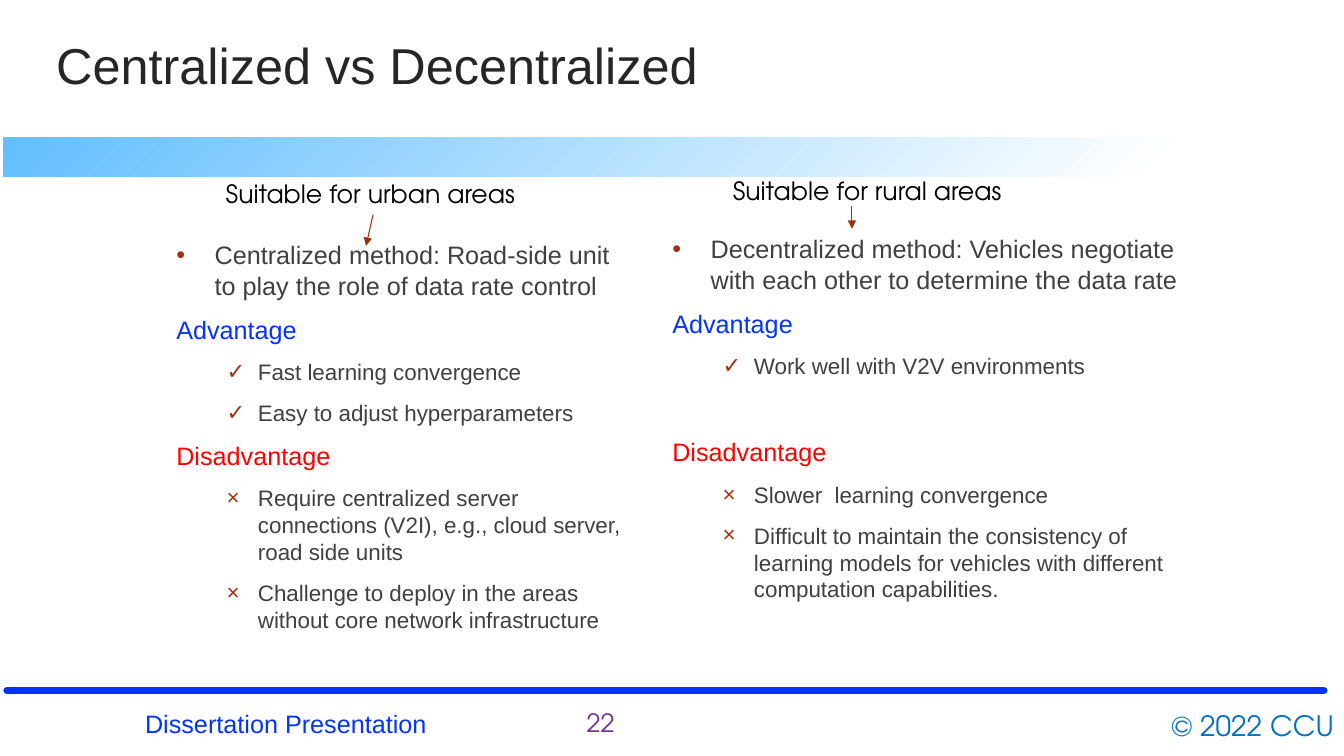
from dataclasses import dataclass
from typing import Optional

from lxml.etree import SubElement
from pptx import Presentation
from pptx.dml.color import RGBColor
from pptx.enum.shapes import MSO_CONNECTOR as Connector, MSO_SHAPE as Preset
from pptx.enum.text import MSO_ANCHOR as Anchor, MSO_AUTO_SIZE as AutoSize, PP_ALIGN as Align
from pptx.oxml.ns import qn
from pptx.util import Inches, Pt

COLORS = {
    "title": "262626", "body": "404040", "bullet": "A53010", "arrow": "9E2E0F",
    "blue": "0432FF", "red": "FF0000", "black": "000000",
    "copyright": "0070C0", "page": "7030A0", "band": "63BFFF", "white": "FFFFFF",
}
SANS = "Arial"
ROUND = "TeX Gyre Adventor"


@dataclass(frozen=True)
class Label:
    text: str
    box: tuple[float, float, float, float]
    color: str
    size: int = 18
    font: str = ROUND
    align: Align = Align.LEFT
    anchor: Anchor = Anchor.TOP
    wrap: bool = True


@dataclass(frozen=True)
class Line:
    start: tuple[float, float]
    end: tuple[float, float]
    color: str = "arrow"
    width: float = 0.75
    arrow: bool = True


@dataclass(frozen=True)
class ItemStyle:
    color: str = "body"
    size: int = 18
    bullet: Optional[str] = None
    margin: float = 0
    hanging: float = 0
    level: int = 0


METHOD = ItemStyle(bullet="•", margin=0.38, hanging=0.38)
ADVANTAGE = ItemStyle("blue")
DISADVANTAGE = ItemStyle("red")
PRO = ItemStyle(size=16, bullet="✓", margin=0.81, hanging=0.31, level=1)
CON = ItemStyle(size=16, bullet="×", margin=0.81, hanging=0.31, level=1)


@dataclass(frozen=True)
class Item:
    text: str
    style: ItemStyle
    space_before: int = 10


@dataclass(frozen=True)
class Column:
    box: tuple[float, float, float, float]
    items: list[Item]


LABELS = [
    Label("© 2022 CCU", (7.58, 6.97, 5.75, 0.45), "copyright", 20,
          align=Align.RIGHT, anchor=Anchor.MIDDLE),
    Label("Dissertation Presentation", (0.03, 7, 4.3, 0.35), "blue", font=SANS,
          align=Align.RIGHT, anchor=Anchor.MIDDLE),
    Label("Centralized vs Decentralized", (0.46, 0.29, 12.43, 1.4), "title", 36, SANS),
    Label("22", (5.72, 6.97, 0.85, 0.4), "page"),
    Label("Suitable for rural areas", (7.17, 1.69, 2.97, 0.4), "black", wrap=False),
    Label("Suitable for urban areas", (2.14, 1.72, 3.12, 0.4), "black", wrap=False),
]

LINES = [
    Line((0.07, 6.85), (13.13, 6.85), "blue", 5.25, arrow=False),
    Line((8.45, 2.04), (8.45, 2.27)),
    Line((3.7, 2.13), (3.63, 2.44)),
]

COLUMNS = [
    Column((1.65, 2.33, 4.72, 4.13), [
        Item("Centralized method: Road-side unit to play the role of data rate control", METHOD),
        Item("Advantage", ADVANTAGE),
        Item("Fast learning convergence", PRO),
        Item("Easy to adjust hyperparameters", PRO),
        Item("Disadvantage", DISADVANTAGE),
        Item("Require centralized server connections (V2I), e.g., cloud server, "
             "road side units", CON),
        Item("Challenge to deploy in the areas without core network infrastructure", CON),
    ]),
    Column((6.57, 2.27, 5.27, 4.13), [
        Item("Decentralized method: Vehicles negotiate with each other to determine "
             "the data rate", METHOD),
        Item("Advantage", ADVANTAGE),
        Item("Work well with V2V environments", PRO),
        Item("Disadvantage", DISADVANTAGE, space_before=41),
        Item("Slower  learning convergence", CON),
        Item("Difficult to maintain the consistency of learning models for vehicles "
             "with different computation capabilities.", CON),
    ]),
]


def rgb(name: str) -> RGBColor:
    return RGBColor.from_string(COLORS[name])


def format_runs(paragraph, font: str, size: int, color: str) -> None:
    for run in paragraph.runs:
        run.font.name = font
        run.font.size = Pt(size)
        run.font.color.rgb = rgb(color)


def add_label(slide, label: Label) -> None:
    text_frame = slide.shapes.add_textbox(*map(Inches, label.box)).text_frame
    text_frame.text = label.text
    text_frame.word_wrap = label.wrap
    text_frame.vertical_anchor = label.anchor
    if not label.wrap:
        text_frame.auto_size = AutoSize.SHAPE_TO_FIT_TEXT
    paragraph = text_frame.paragraphs[0]
    paragraph.alignment = label.align
    format_runs(paragraph, label.font, label.size, label.color)


def add_bullet(paragraph, style: ItemStyle) -> None:
    properties = paragraph._p.get_or_add_pPr()
    properties.set("marL", str(Inches(style.margin)))
    properties.set("indent", str(-Inches(style.hanging)))
    color = SubElement(properties, qn("a:buClr"))
    SubElement(color, qn("a:srgbClr"), val=COLORS["bullet"])
    SubElement(properties, qn("a:buFont"), typeface=SANS)
    SubElement(properties, qn("a:buChar"), char=style.bullet)


def add_column(slide, column: Column) -> None:
    text_frame = slide.shapes.add_textbox(*map(Inches, column.box)).text_frame
    text_frame.text = "\n".join(item.text for item in column.items)
    text_frame.word_wrap = True
    for paragraph, item in zip(text_frame.paragraphs, column.items):
        paragraph.level = item.style.level
        paragraph.space_before = Pt(item.space_before)
        if item.style.bullet:
            add_bullet(paragraph, item.style)
        format_runs(paragraph, SANS, item.style.size, item.style.color)


def add_line(slide, line: Line) -> None:
    """Draw a thin arrow, or a round-ended rule when there is no arrowhead."""
    connector = slide.shapes.add_connector(
        Connector.STRAIGHT, *map(Inches, line.start + line.end))
    connector.line.color.rgb = rgb(line.color)
    connector.line.width = Pt(line.width)
    outline = connector.line._get_or_add_ln()
    if line.arrow:
        SubElement(outline, qn("a:tailEnd"), type="triangle")
    else:
        outline.set("cap", "rnd")
    SubElement(connector._element.spPr, qn("a:effectLst"))


def add_band(slide) -> None:
    """Draw the band under the title, fading out from its top left corner."""
    band = slide.shapes.add_shape(
        Preset.PENTAGON, *map(Inches, (0.03, 1.36, 12.02, 0.39)))
    band.shadow.inherit = False
    band.line.fill.background()
    band.fill.gradient()
    stops = zip(band.fill.gradient_stops, [(0, "band"), (0.95, "white")])
    for stop, (position, color) in stops:
        stop.position = position
        stop.color.rgb = rgb(color)
    gradient = band._element.spPr.find(qn("a:gradFill"))
    gradient.remove(gradient.find(qn("a:lin")))
    circle = SubElement(gradient, qn("a:path"))
    circle.set("path", "circle")
    SubElement(circle, qn("a:fillToRect"), r="100000", b="100000")


def main() -> None:
    presentation = Presentation()
    presentation.slide_width = Inches(13.33)
    presentation.slide_height = Inches(7.5)
    slide = presentation.slides.add_slide(presentation.slide_layouts[6])
    add_band(slide)
    for label in LABELS:
        add_label(slide, label)
    for column in COLUMNS:
        add_column(slide, column)
    for line in LINES:
        add_line(slide, line)
    presentation.save("out.pptx")


if __name__ == "__main__":
    main()
